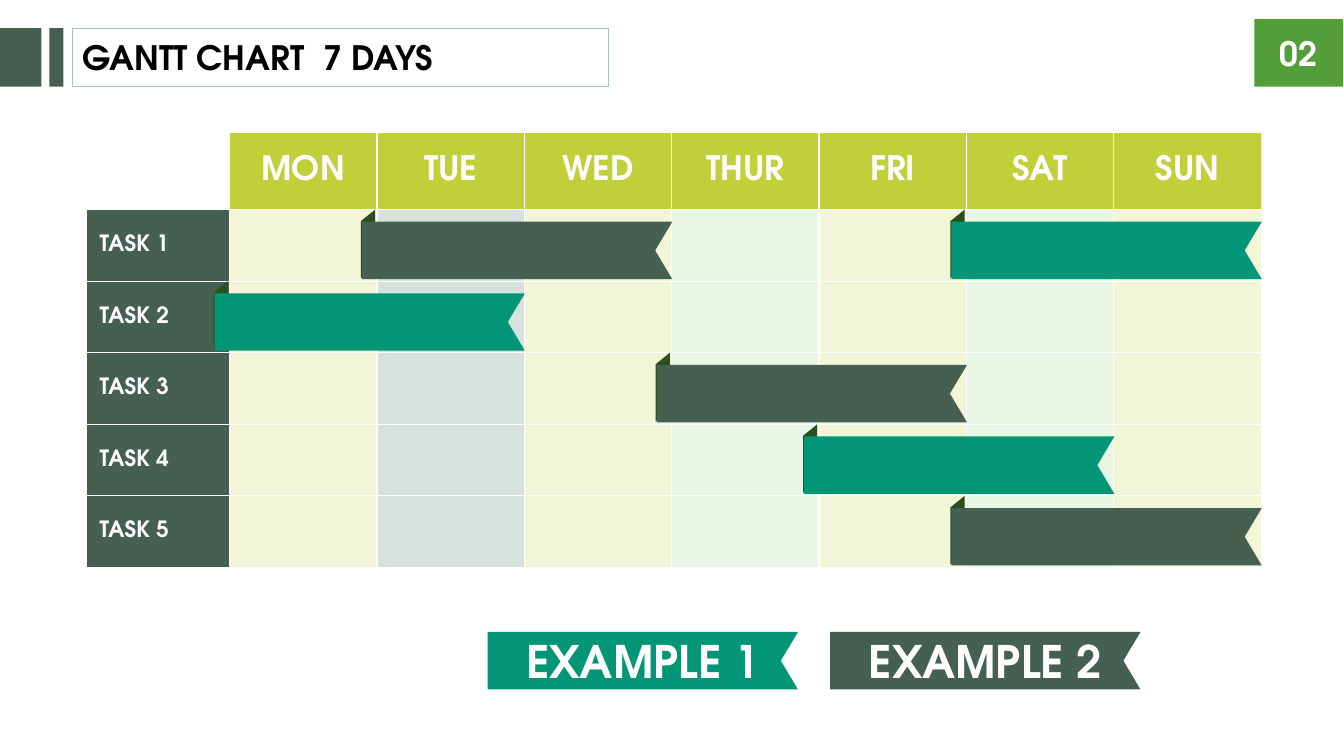
from lxml import etree
from pptx import Presentation
from pptx.dml.color import RGBColor
from pptx.enum.shapes import MSO_SHAPE
from pptx.enum.text import MSO_ANCHOR, PP_ALIGN
from pptx.oxml.ns import qn
from pptx.util import Inches, Pt

RECTANGLE = MSO_SHAPE.RECTANGLE
PARALLELOGRAM = MSO_SHAPE.PARALLELOGRAM
MIDDLE = MSO_ANCHOR.MIDDLE
LEFT, CENTER = PP_ALIGN.LEFT, PP_ALIGN.CENTER

COLORS = {
    "slate": "455F51", "teal": "029676", "fold": "2A4F1C", "green": "549E39",
    "lime": "C0CF3A", "cream": "F2F5D8", "gray": "D7E2DC", "mint": "E8F7E3",
    "outline": "A3C5C4", "white": "FFFFFF", "black": "000000",
}
DAYS = ["MON", "TUE", "WED", "THUR", "FRI", "SAT", "SUN"]
DAY_FILLS = ["cream", "gray", "cream", "mint", "cream", "mint", "cream"]
TASK_COUNT = 5
BARS = [(0, 1, "slate"), (1, 0, "teal"), (2, 3, "slate"),
        (3, 4, "teal"), (4, 5, "slate"), (0, 5, "teal")]
LEGEND = [("EXAMPLE 2", 8.24, "slate"), ("EXAMPLE 1", 4.84, "teal")]

TABLE_LEFT, TABLE_TOP, TABLE_WIDTH = 0.86, 1.31, 11.66
LABEL_WIDTH, HEADER_HEIGHT, ROW_HEIGHT = 1.42, 0.77, 0.71
DAY_WIDTH = (TABLE_WIDTH - LABEL_WIDTH) / len(DAYS)
BAR_WIDTH, BAR_HEIGHT, NOTCH = 3.08, 0.57, 0.17


class GanttPage:
    def __init__(self, deck):
        self.page = deck.slides.add_slide(deck.slide_layouts[6])
        self.font = "TeX Gyre Adventor"

    def color(self, name):
        return RGBColor.from_string(COLORS[name])

    def paint(self, shape, fill=None, line=None):
        shape.shadow.inherit = False
        if fill:
            shape.fill.solid()
            shape.fill.fore_color.rgb = self.color(fill)
        else:
            shape.fill.background()
        if line:
            shape.line.color.rgb = self.color(line)
            shape.line.width = Pt(1)
        else:
            shape.line.fill.background()

    def label(self, frame, text, size, align=CENTER, color="white"):
        frame.text = text
        frame.word_wrap = True
        para = frame.paragraphs[0]
        para.alignment = align
        font = para.runs[0].font
        font.name = self.font
        font.size = Pt(size)
        font.bold = True
        font.color.rgb = self.color(color)

    def box(self, left, top, width, height, fill=None, line=None, kind=RECTANGLE):
        shape = self.page.shapes.add_shape(
            kind, Inches(left), Inches(top), Inches(width), Inches(height))
        self.paint(shape, fill, line)
        shape.text_frame.vertical_anchor = MIDDLE
        return shape

    def ribbon(self, left, top, fill):
        right, bottom = left + BAR_WIDTH, top + BAR_HEIGHT
        outline = [(right, top), (right - NOTCH, top + BAR_HEIGHT / 2),
                   (right, bottom), (left, bottom)]
        builder = self.page.shapes.build_freeform(Inches(left), Inches(top))
        builder.add_line_segments(
            [(Inches(x), Inches(y)) for x, y in outline], close=True)
        shape = builder.convert_to_shape()
        self.paint(shape, fill)
        shape.text_frame.vertical_anchor = MIDDLE
        return shape

    def fold(self, left, top):
        shape = self.box(left, top, 0.68, 0.14, "fold", kind=PARALLELOGRAM)
        shape.adjustments[0] = 0.81
        shape.rotation = 270
        shape._element.spPr.find(qn("a:xfrm")).set("flipH", "1")

    def task_bar(self, row, day, fill):
        left = TABLE_LEFT + LABEL_WIDTH + day * DAY_WIDTH - 0.15
        top = TABLE_TOP + HEADER_HEIGHT + row * ROW_HEIGHT + 0.12
        self.fold(left - 0.28, top + 0.15)
        self.ribbon(left, top, fill)

    def style_cell(self, cell, fill):
        properties = cell._tc.get_or_add_tcPr()
        for side in ("a:lnL", "a:lnR", "a:lnT", "a:lnB"):
            border = etree.SubElement(properties, qn(side), w=str(Pt(1)))
            solid = etree.SubElement(border, qn("a:solidFill"))
            etree.SubElement(solid, qn("a:srgbClr"), val=COLORS["white"])
        cell.fill.solid()
        cell.fill.fore_color.rgb = self.color(fill)
        cell.vertical_anchor = MIDDLE
        cell.margin_left = cell.margin_right = Inches(0.13)
        cell.margin_top = cell.margin_bottom = Inches(0.07)

    def schedule(self):
        height = HEADER_HEIGHT + TASK_COUNT * ROW_HEIGHT
        table = self.page.shapes.add_table(
            TASK_COUNT + 1, len(DAYS) + 1, Inches(TABLE_LEFT), Inches(TABLE_TOP),
            Inches(TABLE_WIDTH), Inches(height)).table
        table.first_row = table.horz_banding = False
        for index, column in enumerate(table.columns):
            column.width = Inches(DAY_WIDTH if index else LABEL_WIDTH)
        for index, row in enumerate(table.rows):
            row.height = Inches(ROW_HEIGHT if index else HEADER_HEIGHT)
        self.style_cell(table.cell(0, 0), "white")
        for column, (day, fill) in enumerate(zip(DAYS, DAY_FILLS), 1):
            header = table.cell(0, column)
            self.style_cell(header, "lime")
            self.label(header.text_frame, day, 24)
            for row in range(1, TASK_COUNT + 1):
                self.style_cell(table.cell(row, column), fill)
        for row in range(1, TASK_COUNT + 1):
            task = table.cell(row, 0)
            self.style_cell(task, "slate")
            self.label(task.text_frame, f"TASK {row}", 16, LEFT)


def main():
    deck = Presentation()
    deck.slide_width, deck.slide_height = Inches(13.34), Inches(7.5)
    gantt = GanttPage(deck)
    gantt.box(0, 0.28, 0.41, 0.58, "slate")
    gantt.box(0.49, 0.28, 0.14, 0.58, "slate")
    title = gantt.box(0.72, 0.28, 5.32, 0.58, line="outline")
    gantt.label(title.text_frame, "GANTT CHART  7 DAYS", 24, LEFT, "black")
    number = gantt.box(12.45, 0.19, 0.88, 0.67, "green")
    gantt.label(number.text_frame, "02", 24)
    gantt.schedule()
    for row, day, fill in BARS:
        gantt.task_bar(row, day, fill)
    for text, left, fill in LEGEND:
        gantt.label(gantt.ribbon(left, 6.27, fill).text_frame, text, 32)
    deck.save("out.pptx")


if __name__ == "__main__":
    main()
